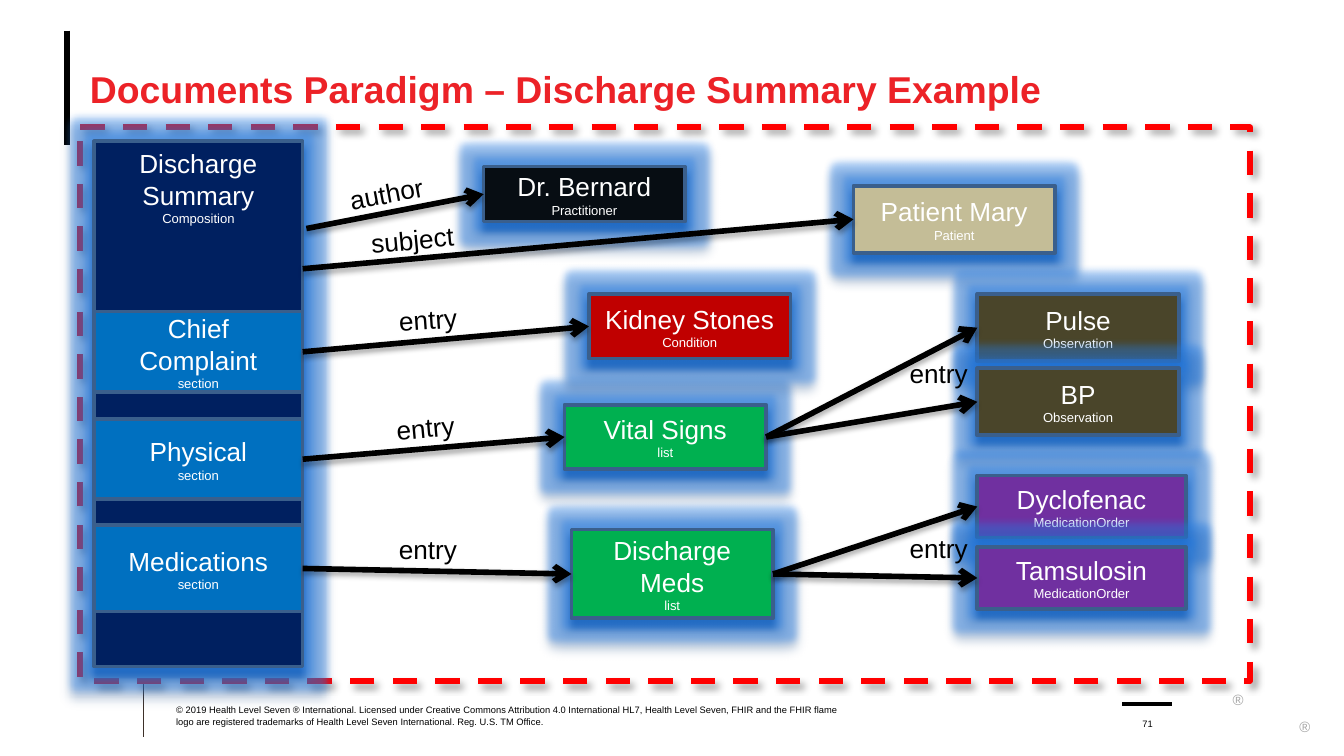
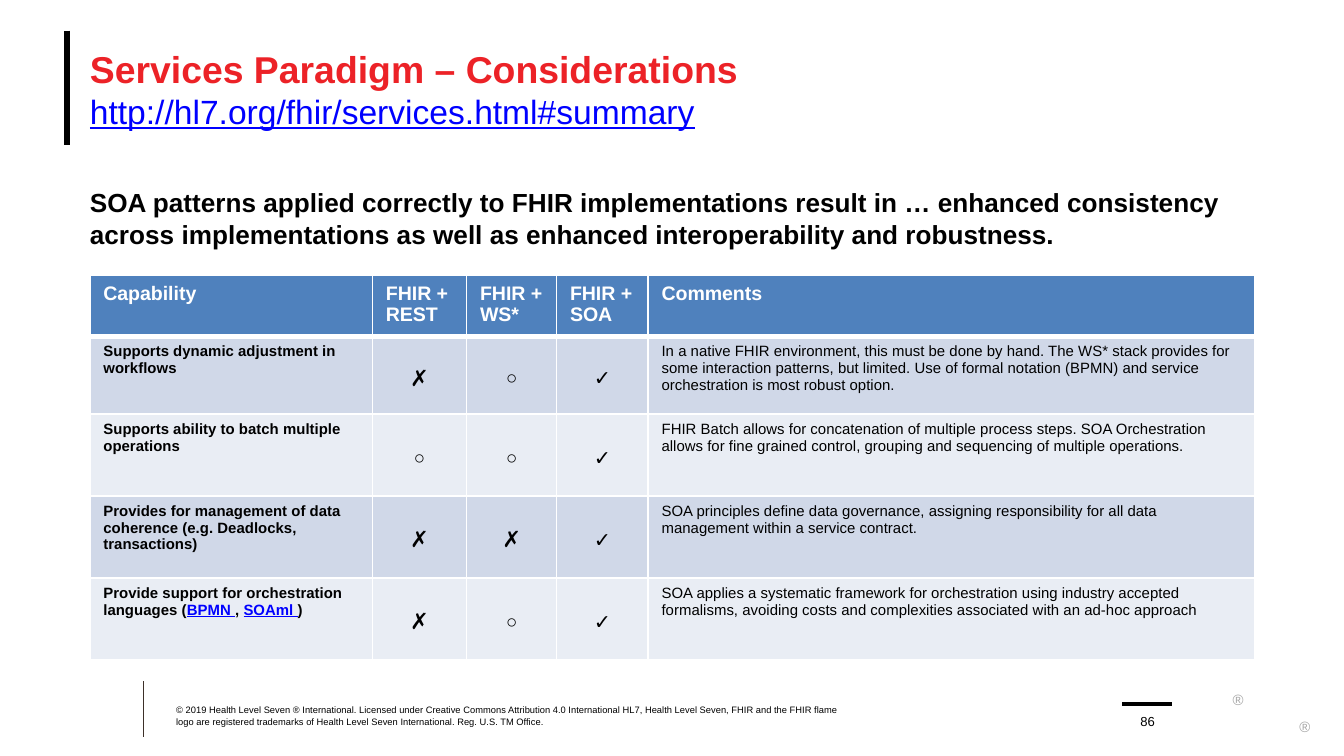
from dataclasses import dataclass, replace

from lxml import etree
from pptx import Presentation
from pptx.dml.color import RGBColor
from pptx.enum.dml import MSO_LINE
from pptx.enum.shapes import MSO_CONNECTOR, MSO_SHAPE
from pptx.enum.text import MSO_ANCHOR, PP_ALIGN
from pptx.oxml.ns import qn
from pptx.util import Cm, Pt

LEFT, CENTER = PP_ALIGN.LEFT, PP_ALIGN.CENTER
TOP, MIDDLE, BOTTOM = MSO_ANCHOR.TOP, MSO_ANCHOR.MIDDLE, MSO_ANCHOR.BOTTOM
RECT, PROCESS = MSO_SHAPE.RECTANGLE, MSO_SHAPE.FLOWCHART_PROCESS
STRAIGHT, DASH = MSO_CONNECTOR.STRAIGHT, MSO_LINE.DASH
LEFT_SITE, RIGHT_SITE = 1, 3


@dataclass(frozen=True)
class Style:
    size: float
    color: str = "000000"
    bold: bool = False
    underline: bool = False


@dataclass(frozen=True)
class Theme:
    font: str = "Arial"
    black: str = "000000"
    white: str = "FFFFFF"
    margin_rule: str = "3D3029"
    frame: str = "FF0000"
    box_edge: str = "3A5F8C"
    box_shadow: str = "23518B"
    glow: str = "257DE6"
    composition: str = "002060"
    section: str = "0070C0"
    practitioner: str = "070D13"
    patient: str = "C4BD97"
    condition: str = "C00000"
    listing: str = "00B050"
    observation: str = "4A452A"
    medication: str = "7030A0"
    header_fill: str = "4F81BD"
    bands: tuple = ("D0D8E8", "E9EDF4")
    title: Style = Style(20, "EC2227", True)
    address: Style = Style(18, "0000FF", False, True)
    statement: Style = Style(14, bold=True)
    box_name: Style = Style(14, "FFFFFF")
    box_kind: Style = Style(7, "FFFFFF")
    relation: Style = Style(14)
    footer: Style = Style(5)
    registered: Style = Style(8, "A6A6A6")
    header: Style = Style(10.5, "FFFFFF", True)
    capability: Style = Style(8, bold=True)
    cell_link: Style = Style(8, "0000FF", True, True)
    comment: Style = Style(8)


THEME = Theme()
MARKS = {"✗": Style(12), "○": Style(10), "✓": Style(11, bold=True)}
COPYRIGHT = (
    "© 2019 Health Level Seven ® International. Licensed under Creative Commons "
    "Attribution 4.0 International HL7, Health Level Seven, FHIR and the FHIR flame "
    "logo are registered trademarks of Health Level Seven International. "
    "Reg. U.S. TM Office."
)
BOX_WIDTH, ORDER_WIDTH, PANEL_WIDTH = 3.81, 3.94, 3.94
CAPABILITIES = [
    ([("Supports dynamic adjustment in workflows", THEME.capability)], "✗○✓",
     "In a native FHIR environment, this must be done by hand. The WS* stack provides "
     "for some interaction patterns, but limited. Use of formal notation (BPMN) and "
     "service orchestration is most robust option."),
    ([("Supports ability to batch multiple operations", THEME.capability)], "○○✓",
     "FHIR Batch allows for concatenation of multiple process steps. SOA Orchestration "
     "allows for fine grained control, grouping and sequencing of multiple operations."),
    ([("Provides for management of data coherence (e.g. Deadlocks, transactions)",
       THEME.capability)], "✗✗✓",
     "SOA principles define data governance, assigning responsibility for all data "
     "management within a service contract."),
    ([("Provide support for orchestration languages (", THEME.capability),
      ("BPMN ", THEME.cell_link), (", ", THEME.capability),
      ("SOAml ", THEME.cell_link), (")", THEME.capability)], "✗○✓",
     "SOA applies a systematic framework for orchestration using industry accepted "
     "formalisms, avoiding costs and complexities associated with an ad-hoc approach"),
]


def rgb(value):
    return RGBColor.from_string(value)


def format_run(run, style):
    font = run.font
    font.name, font.size = THEME.font, Pt(style.size)
    font.bold, font.underline = style.bold, style.underline
    font.color.rgb = rgb(style.color)


def write(frame, lines, align=LEFT):
    for index, pieces in enumerate(lines):
        paragraph = frame.paragraphs[0] if index == 0 else frame.add_paragraph()
        paragraph.alignment = align
        for text, style in pieces:
            run = paragraph.add_run()
            run.text = text
            format_run(run, style)


def add_text(slide, place, lines, align=LEFT, anchor=TOP, inset=True, turn=0):
    box = slide.shapes.add_textbox(*map(Cm, place))
    box.rotation = turn
    frame = box.text_frame
    frame.word_wrap = True
    frame.vertical_anchor = anchor
    if not inset:
        frame.margin_left = frame.margin_right = 0
        frame.margin_top = frame.margin_bottom = 0
    write(frame, lines, align)
    return box


def add_effect(effects, tag, color, alpha, **settings):
    effect = etree.SubElement(effects, qn(tag), {k: str(v) for k, v in settings.items()})
    tint = etree.SubElement(effect, qn("a:srgbClr"), val=color)
    etree.SubElement(tint, qn("a:alpha"), val=str(alpha * 1000))


def cast_shadow(properties, color, alpha, blur, distance, angle, glow=False):
    for old in properties.findall(qn("a:effectLst")):
        properties.remove(old)
    effects = etree.SubElement(properties, qn("a:effectLst"))
    if glow:
        add_effect(effects, "a:glow", THEME.glow, 40, rad=Pt(8))
    add_effect(effects, "a:outerShdw", color, alpha, blurRad=Pt(blur),
               dist=Pt(distance), dir=angle * 60000, rotWithShape=0)


def add_box(slide, place, fill, names, kind, geometry=RECT, anchor=MIDDLE, glow=True):
    box = slide.shapes.add_shape(geometry, *map(Cm, place))
    box.shadow.inherit = False
    box.fill.solid()
    box.fill.fore_color.rgb = rgb(fill)
    box.line.color.rgb = rgb(THEME.box_edge)
    box.line.width = Pt(2)
    box.text_frame.word_wrap = True
    box.text_frame.vertical_anchor = anchor
    lines = [[(name, THEME.box_name)] for name in names]
    write(box.text_frame, lines + [[(kind, THEME.box_kind)]], CENTER)
    if glow:
        cast_shadow(box._element.spPr, THEME.box_shadow, 100, 4, 4, 90, glow=True)
    return box


def add_line(slide, start, end, color, width):
    line = slide.shapes.add_connector(STRAIGHT, *map(Cm, start + end))
    line.line.color.rgb = rgb(color)
    line.line.width = Pt(width)
    etree.SubElement(line._element.spPr, qn("a:effectLst"))
    return line


def add_arrow(slide, source, target):
    loose = isinstance(source, tuple)
    arrow = add_line(slide, source if loose else (0, 0), (0, 0), THEME.black, 3)
    if not loose:
        arrow.begin_connect(source, RIGHT_SITE)
    arrow.end_connect(target, LEFT_SITE)
    etree.SubElement(arrow.line._get_or_add_ln(), qn("a:tailEnd"), type="arrow")
    cast_shadow(arrow._element.spPr, THEME.black, 35, 3.1, 1.8, 90)


def add_base(deck, title_lines, number, number_size):
    slide = deck.slides.add_slide(deck.slide_layouts[6])
    add_line(slide, (2.72, 12.88), (2.72, 13.94), THEME.margin_rule, 0.5)
    add_line(slide, (1.27, 0.58), (1.27, 2.74), THEME.black, 3.25)
    add_line(slide, (21.21, 13.31), (22.15, 13.31), THEME.black, 2)
    for left, top in ((23.2, 13.03), (24.46, 13.54)):
        add_text(slide, (left, top, 0.4, 0.4), [[("®", THEME.registered)]],
                 CENTER, MIDDLE, inset=False)
    add_text(slide, (1.7, 0.58, 22.86, 2.18), title_lines, anchor=MIDDLE, inset=False)
    add_text(slide, (21.31, 13.31, 0.76, 0.48),
             [[(number, replace(THEME.footer, size=number_size))]],
             CENTER, BOTTOM, inset=False)
    add_text(slide, (3.33, 13.31, 12.57, 0.43), [[(COPYRIGHT, THEME.footer)]],
             anchor=BOTTOM, inset=False)
    return slide


def add_frame(slide):
    frame = slide.shapes.add_shape(PROCESS, *map(Cm, (1.52, 2.41, 22.1, 10.46)))
    frame.fill.background()
    frame.line.color.rgb = rgb(THEME.frame)
    frame.line.width = Pt(3.25)
    frame.line.dash_style = DASH
    cast_shadow(frame._element.spPr, THEME.black, 40, 4, 3, 45)


def build_documents(deck):
    slide = add_base(
        deck, [[("Documents Paradigm – Discharge Summary Example", THEME.title)]], "71", 5)
    add_frame(slide)

    def resource(left, top, height, fill, name, kind, width=BOX_WIDTH):
        return add_box(slide, (left, top, width, height), fill, [name], kind)

    doctor = resource(9.14, 3.15, 1.04, THEME.practitioner, "Dr. Bernard", "Practitioner")
    patient = resource(16.13, 3.51, 1.27, THEME.patient, "Patient Mary", "Patient")
    meds = resource(10.8, 10.01, 1.68, THEME.listing, "Discharge Meds", "list")
    vitals = resource(10.67, 7.65, 1.22, THEME.listing, "Vital Signs", "list")
    observations = [
        resource(18.47, top, 1.27, THEME.observation, name, "Observation")
        for name, top in (("Pulse", 5.56), ("BP", 6.96))]
    orders = [
        resource(18.47, top, 1.17, THEME.medication, name, "MedicationOrder", ORDER_WIDTH)
        for name, top in (("Dyclofenac", 8.99), ("Tamsulosin", 10.34))]
    stones = resource(11.13, 5.56, 1.22, THEME.condition, "Kidney Stones", "Condition")

    add_box(slide, (1.78, 2.67, PANEL_WIDTH, 9.93), THEME.composition,
            ["Discharge", "Summary"], "Composition", anchor=TOP)
    complaint, physical, medications = [
        add_box(slide, (1.78, top, PANEL_WIDTH, height), THEME.section, [name], "section",
                geometry=PROCESS, glow=False)
        for name, top, height in (("Chief Complaint", 5.89, 1.52),
                                  ("Physical", 7.92, 1.52),
                                  ("Medications", 9.93, 1.63))]

    links = [((5.79, 4.32), doctor), ((5.72, 5.08), patient), (complaint, stones),
             (physical, vitals), (medications, meds)]
    links += [(vitals, item) for item in observations]
    links += [(meds, item) for item in orders]
    for source, target in links:
        add_arrow(slide, source, target)

    for name, left, top, width, turn in (
            ("subject", 6.76, 4.09, 2.39, -5.4), ("author", 6.35, 3.23, 1.93, -10.8),
            ("entry", 7.29, 5.61, 1.75, -4), ("entry", 7.24, 7.65, 1.75, -5.3),
            ("entry", 7.29, 9.96, 1.75, 0), ("entry", 16.94, 6.63, 1.88, 0),
            ("entry", 16.94, 9.93, 1.88, 0)):
        add_text(slide, (left, top, width, 0.86), [[(name, THEME.relation)]], turn=turn)


def fill_cell(cell, pieces, fill, align=LEFT, bottom=1):
    properties = cell._tc.get_or_add_tcPr()
    for side, width in (("L", 1), ("R", 1), ("T", 1), ("B", bottom)):
        edge = etree.SubElement(properties, qn(f"a:ln{side}"), w=str(Pt(width)))
        paint = etree.SubElement(edge, qn("a:solidFill"))
        etree.SubElement(paint, qn("a:srgbClr"), val=THEME.white)
    cell.fill.solid()
    cell.fill.fore_color.rgb = rgb(fill)
    write(cell.text_frame, [pieces], align)


def add_capability_table(slide):
    widths = (5.34, 1.78, 1.7, 1.73, 11.47)
    heights = (1.07, 1.47, 1.55, 1.55, 1.55)
    table = slide.shapes.add_table(
        len(heights), len(widths), Cm(1.7), Cm(5.21), Cm(sum(widths)), Cm(sum(heights))).table
    for column, width in zip(table.columns, widths):
        column.width = Cm(width)
    for row, height in zip(table.rows, heights):
        row.height = Cm(height)
    headings = ("Capability", "FHIR + REST", "FHIR + WS*", "FHIR + SOA", "Comments")
    for column, heading in enumerate(headings):
        fill_cell(table.cell(0, column), [(heading, THEME.header)], THEME.header_fill, bottom=3)
    for row, (capability, marks, comment) in enumerate(CAPABILITIES, 1):
        band = THEME.bands[(row - 1) % 2]
        fill_cell(table.cell(row, 0), capability, band)
        for column, mark in enumerate(marks, 1):
            cell = table.cell(row, column)
            fill_cell(cell, [(mark, MARKS[mark])], band, CENTER)
            cell.vertical_anchor = MIDDLE
            cell.margin_top = Cm(0.25)
        fill_cell(table.cell(row, 4), [(comment, THEME.comment)], band)


def build_services(deck):
    slide = add_base(
        deck,
        [[("Services Paradigm – Considerations", THEME.title)],
         [("http://hl7.org/fhir/services.html#summary", THEME.address)]], "86", 7)
    add_text(slide, (1.7, 3.53, 22.02, 1.14), [[(
        "SOA patterns applied correctly to FHIR implementations result in … enhanced "
        "consistency across implementations as well as enhanced interoperability and "
        "robustness.", THEME.statement)]], inset=False)
    add_capability_table(slide)


def main():
    deck = Presentation()
    deck.slide_width, deck.slide_height = Cm(25.4), Cm(14.29)
    build_documents(deck)
    build_services(deck)
    deck.save("out.pptx")


if __name__ == "__main__":
    main()
